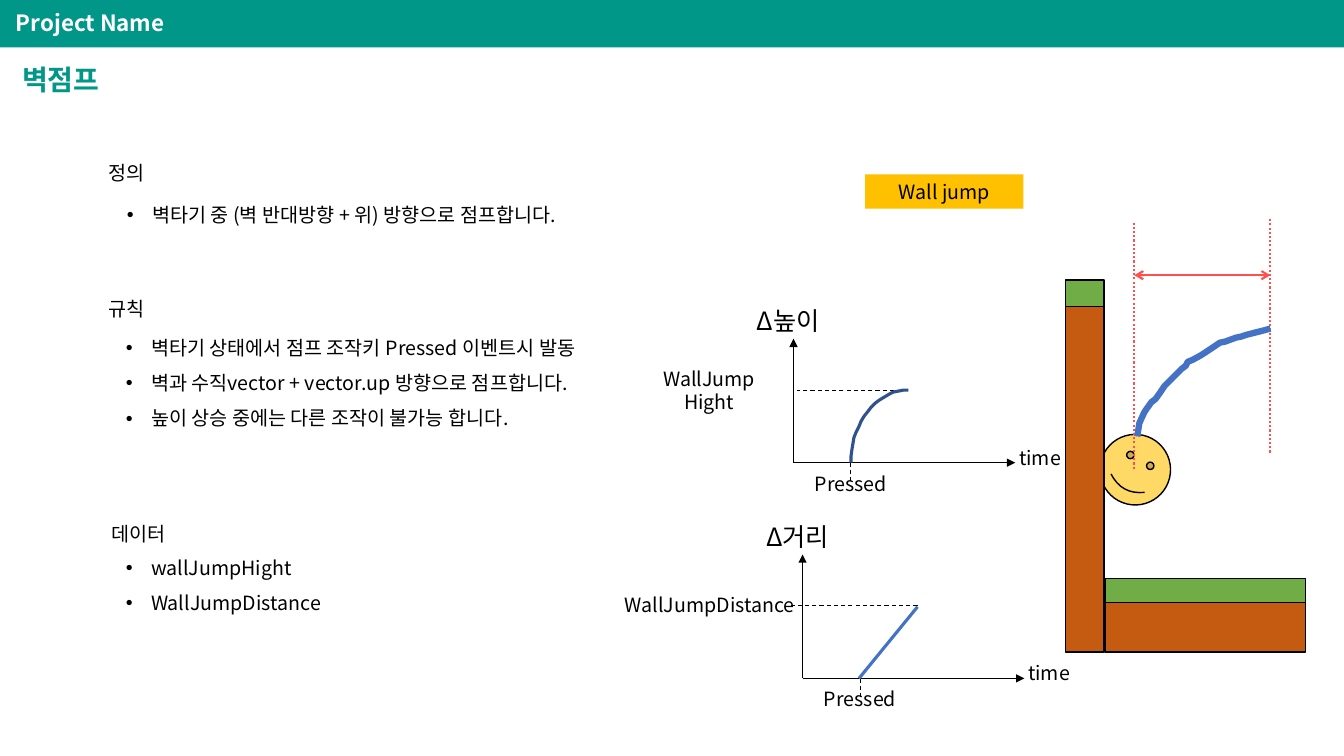
"""Build a one-slide design note on the wall jump, with two graphs and a scene."""
import math
import pptx
import pptx.util
import pptx.dml.color
import pptx.enum.dml
import pptx.enum.shapes
import pptx.enum.text
import pptx.oxml.ns
from lxml import etree

PX = 9144
FONT = "Noto Sans CJK KR"
COLORS = {
    "teal": "009688", "white": "FFFFFF", "black": "000000", "grass": "70AD47",
    "soil": "C55A11", "face": "FFD966", "gold": "FFC000", "red": "FF5050",
    "blue": "4472C4", "navy": "2F528F",
}
KINDS = pptx.enum.shapes.MSO_SHAPE
DASHES = pptx.enum.dml.MSO_LINE
ALIGNS = pptx.enum.text.PP_ALIGN
ANCHORS = pptx.enum.text.MSO_ANCHOR
TRAIL = [
    (1128, 433), (1130, 420), (1135, 409), (1137, 406), (1142, 399), (1146, 396),
    (1151, 389), (1155, 383), (1165, 373), (1172, 366), (1176, 363), (1178, 359),
    (1183, 357), (1192, 352), (1201, 346), (1210, 340), (1215, 339), (1226, 335),
    (1231, 334), (1237, 332), (1253, 328), (1260, 326),
]


def color(name):
    """Return the named colour."""
    return pptx.dml.color.RGBColor.from_string(COLORS[name])


def scale(*nums):
    """Turn px into EMU."""
    return [pptx.util.Emu(num * PX) for num in nums]


def add_tag(parent, tag, **attrs):
    """Append a drawing element with attributes."""
    return etree.SubElement(parent, pptx.oxml.ns.qn(tag), attrs)


def write(frame, lines, size=14, ink="black", bold=False, align=ALIGNS.LEFT,
          space=1.0, bullet=False, anchor=ANCHORS.TOP):
    """Fill a text frame with evenly styled lines."""
    frame.word_wrap = True
    frame.auto_size = pptx.enum.text.MSO_AUTO_SIZE.NONE
    frame.vertical_anchor = anchor
    for idx, line in enumerate(lines):
        para = frame.paragraphs[0] if idx == 0 else frame.add_paragraph()
        para.text = line
        para.alignment = align
        para.line_spacing = space
        para.space_before = pptx.util.Pt(10 if bullet and idx else 0)
        if bullet:
            props = para._p.get_or_add_pPr()
            props.set("marL", "228600")
            props.set("indent", "-228600")
            add_tag(props, "a:buFont", typeface="Arial")
            add_tag(props, "a:buChar", char="•")
        font = para.font
        font.size = pptx.util.Pt(size)
        font.bold = bold
        font.color.rgb = color(ink)
        font.name = FONT
        add_tag(para._p.pPr.find(pptx.oxml.ns.qn("a:defRPr")), "a:ea", typeface=FONT)


def add_text(slide, box, lines, **style):
    """Add a text box."""
    write(slide.shapes.add_textbox(*scale(*box)).text_frame, lines, **style)


def add_block(slide, box, fill, kind=KINDS.RECTANGLE, edge=True):
    """Add a filled preset shape, outlined in black if wanted."""
    block = slide.shapes.add_shape(kind, *scale(*box))
    block.shadow.inherit = False
    block.fill.solid()
    block.fill.fore_color.rgb = color(fill)
    if edge:
        block.line.color.rgb = color("black")
        block.line.width = pptx.util.Pt(1)
    else:
        block.line.fill.background()
    return block


def add_line(slide, start, end, ink="black", width=1, dash=None, head=None, tail=None):
    """Add a straight line with optional dashes and arrowheads."""
    line = slide.shapes.add_connector(
        pptx.enum.shapes.MSO_CONNECTOR.STRAIGHT, *scale(*start, *end))
    line.line.color.rgb = color(ink)
    line.line.width = pptx.util.Pt(width)
    if dash:
        line.line.dash_style = dash
    props = line._element.spPr
    stroke = props.find(pptx.oxml.ns.qn("a:ln"))
    for tag, tip in (("a:headEnd", head), ("a:tailEnd", tail)):
        if tip:
            add_tag(stroke, tag, type=tip)
    add_tag(props, "a:effectLst")


def add_curve(slide, points, ink, width):
    """Add an open outline through the points."""
    path = slide.shapes.build_freeform(*points[0], scale=PX)
    path.add_line_segments(points[1:], close=False)
    curve = path.convert_to_shape()
    curve.shadow.inherit = False
    curve.fill.background()
    curve.line.color.rgb = color(ink)
    curve.line.width = pptx.util.Pt(width)


def add_graph(slide, left, base, name, level, box, reach):
    """Add the axes, guides and labels of a graph; reach is where the guide starts."""
    top = base - 72
    press = left + 57
    add_text(slide, (left - 46, base - 161, 127, 40), [name], size=18)
    add_line(slide, (left + 114, top), (reach, top), width=0.75, dash=DASHES.DASH)
    add_text(slide, box, level, align=ALIGNS.CENTER)
    add_line(slide, (left, base), (left + 220, base), tail="triangle")
    add_line(slide, (left, base), (left, base - 123), tail="triangle")
    add_line(slide, (press, base), (press, base + 19), width=0.75, dash=DASHES.DASH)
    add_text(slide, (left + 11, base + 4, 92, 34), ["Pressed"], align=ALIGNS.CENTER)
    add_text(slide, (left + 177, base - 22, 135, 34), ["time"], align=ALIGNS.CENTER)


def add_notes(slide):
    """Add the headings and their bullet lists."""
    for box, head in (
        ((98, 157, 76, 43), "정의"),
        ((98, 292, 76, 43), "규칙"),
        ((101, 516, 130, 43), "데이터"),
    ):
        add_text(slide, box, [head], space=0.9)
    for box, items in (
        ((116, 199, 750, 104), ["벽타기 중 (벽 반대방향 + 위) 방향으로 점프합니다."]),
        ((115, 331, 750, 143), ["벽타기 상태에서 점프 조작키 Pressed 이벤트시 발동",
                                "벽과 수직vector + vector.up 방향으로 점프합니다.",
                                "높이 상승 중에는 다른 조작이 불가능 합니다."]),
        ((115, 549, 240, 65), ["wallJumpHight", "WallJumpDistance"]),
    ):
        add_text(slide, box, items, space=0.9, bullet=True)


def add_scene(slide):
    """Add the wall, the ground, the jumper and its trail."""
    add_block(slide, (1096, 574, 199, 24), "grass")
    add_block(slide, (1096, 598, 199, 49), "soil")
    face = add_block(slide, (1091, 431, 70, 70), "face", KINDS.SMILEY_FACE)
    face.rotation = 28.6
    add_block(slide, (1057, 278, 38, 26), "grass")
    add_block(slide, (1057, 304, 38, 343), "soil")
    sign = add_block(slide, (858, 173, 157, 34), "gold", edge=False)
    write(sign.text_frame, ["Wall jump"], align=ALIGNS.CENTER, anchor=ANCHORS.MIDDLE)
    add_line(slide, (1125, 465), (1125, 220), "red", 1.5, DASHES.ROUND_DOT)
    add_line(slide, (1260, 449), (1260, 217), "red", 1.5, DASHES.ROUND_DOT)
    add_line(slide, (1260, 273), (1125, 273), "red", 1.5, head="arrow", tail="arrow")
    add_curve(slide, TRAIL, "blue", 4.5)


def main():
    """Build and save the slide."""
    deck = pptx.Presentation()
    deck.slide_width, deck.slide_height = scale(1333, 750)
    slide = deck.slides.add_slide(deck.slide_layouts[5])
    add_block(slide, (0, 0, 1333, 47), "teal", edge=False)
    add_text(slide, (6, 5, 1149, 38), ["Project Name"], size=16, ink="white",
             bold=True, space=0.9, anchor=ANCHORS.MIDDLE)
    title = slide.shapes.title
    title.left, title.top, title.width, title.height = scale(12, 48, 574, 65)
    write(title.text_frame, ["벽점프"], size=20, ink="teal", bold=True,
          space=0.9, anchor=ANCHORS.MIDDLE)
    add_notes(slide)
    add_scene(slide)
    add_graph(slide, 787, 459, "Δ높이", ["WallJump", "Hight"], (617, 359, 173, 57), 790)
    turns = [math.radians(deg) for deg in range(0, 91, 5)]
    add_curve(slide, [(901 - 57 * math.cos(turn), 459 - 72 * math.sin(turn))
                      for turn in turns], "navy", 2.25)
    add_graph(slide, 796, 673, "Δ거리", ["WallJumpDistance"], (609, 583, 190, 34), 784)
    add_line(slide, (852, 673), (910, 602), "blue", 2.25)
    deck.save("out.pptx")


if __name__ == "__main__":
    main()
